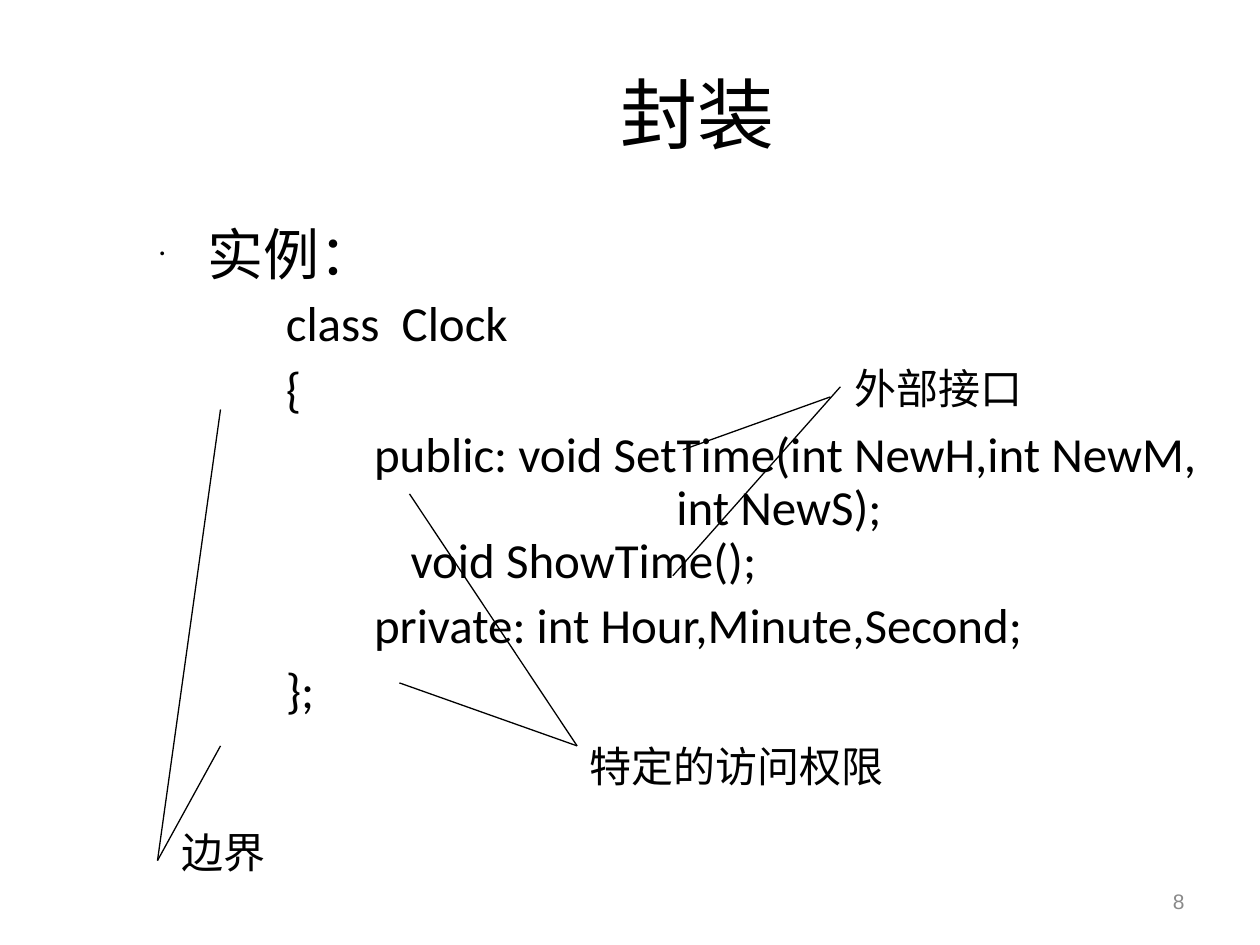
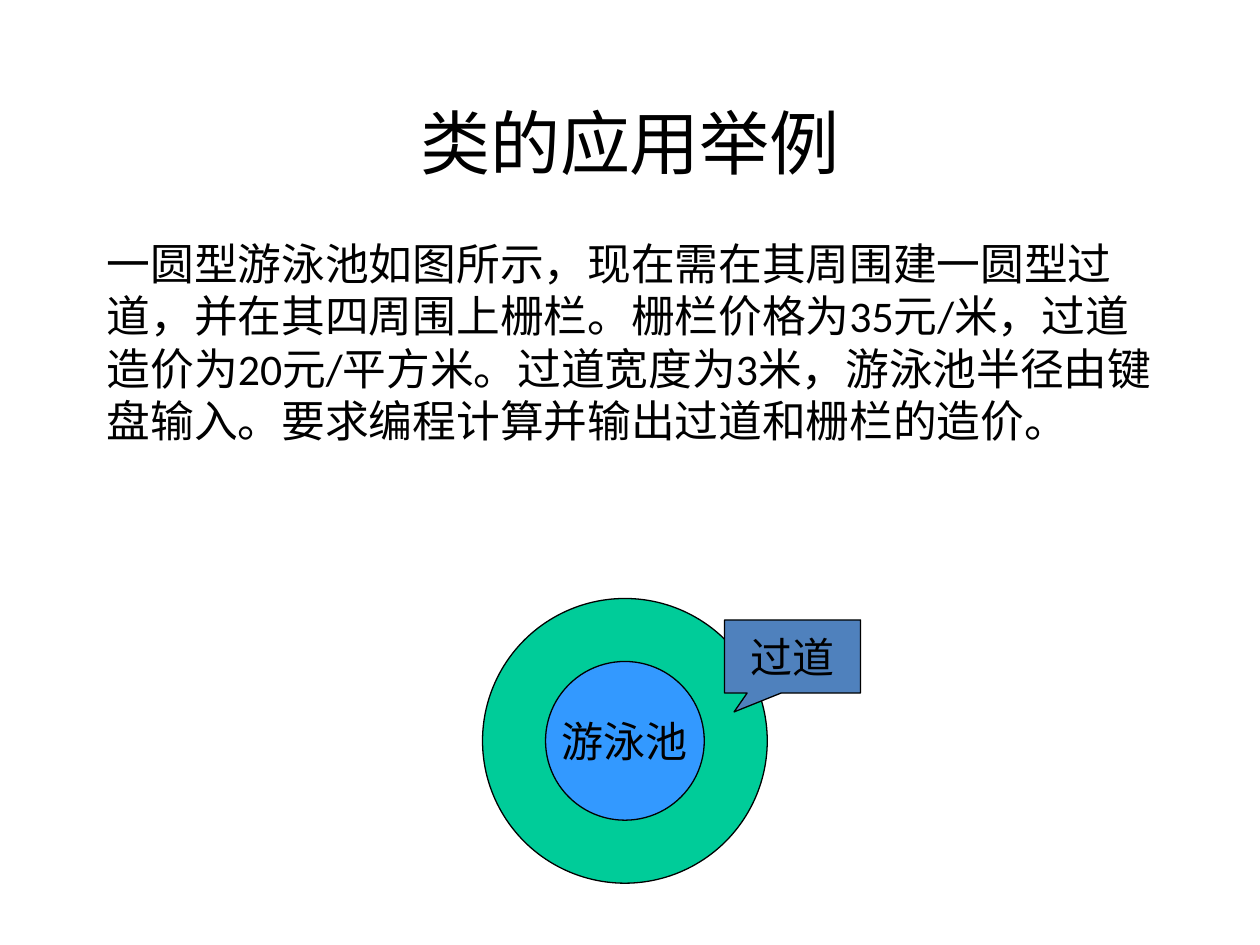
from lxml import etree
from pptx import Presentation
from pptx.dml.color import RGBColor
from pptx.enum import shapes, text
from pptx.oxml import ns
from pptx.util import Inches, Pt

BLACK, GRAY = "000000", "898989"
AISLE_GREEN, POOL_BLUE, CALLOUT_BLUE = "00CC99", "3399FF", "4F81BD"
BODY_FONT, LABEL_FONT, NUMBER_FONT = "Calibri", "Times New Roman", "Arial"
LABEL_SIZE = 24
LEFT, CENTER, RIGHT = text.PP_ALIGN.LEFT, text.PP_ALIGN.CENTER, text.PP_ALIGN.RIGHT
MIDDLE, TOP = text.MSO_ANCHOR.MIDDLE, text.MSO_ANCHOR.TOP


def color(hex_value):
    return RGBColor.from_string(hex_value)


class Deck:
    """Holds the shared style and the slide being built."""

    def __init__(self):
        self.prs = Presentation()
        self.prs.slide_width, self.prs.slide_height = Inches(10), Inches(7.5)
        self.slide = None

    def new_slide(self, title, box, size, spacing=1.0):
        self.slide = self.prs.slides.add_slide(self.prs.slide_layouts[5])
        heading = self.slide.shapes.title
        heading.left, heading.top, heading.width, heading.height = map(Inches, box)
        self.frame(heading.text_frame, MIDDLE)
        self.add_words(heading.text_frame.paragraphs[0], title, size, align=CENTER,
                       spacing=spacing)

    def frame(self, frame, anchor=TOP, wrap=True, insets=(0.1, 0.05)):
        frame.auto_size = text.MSO_AUTO_SIZE.NONE
        frame.word_wrap = wrap
        frame.vertical_anchor = anchor
        frame.margin_left = frame.margin_right = Inches(insets[0])
        frame.margin_top = frame.margin_bottom = Inches(insets[1])

    def add_words(self, paragraph, words, size, font=BODY_FONT, ink=BLACK,
                  align=LEFT, spacing=1.0, before=0):
        paragraph.alignment = align
        paragraph.line_spacing = spacing
        paragraph.space_before = Pt(before)
        run = paragraph.add_run()
        run.text = words
        run.font.size, run.font.name = Pt(size), font
        run.font.color.rgb = color(ink)

    def text_box(self, box, anchor=TOP, insets=(0.1, 0.05)):
        frame = self.slide.shapes.add_textbox(*map(Inches, box)).text_frame
        self.frame(frame, anchor, insets=insets)
        return frame

    def label(self, words, box, insets=(0.11, 0.06)):
        frame = self.text_box(box, insets=insets)
        self.add_words(frame.paragraphs[0], words, LABEL_SIZE, LABEL_FONT, before=15)

    def indent(self, paragraph, margin, first=0):
        props = paragraph._p.get_or_add_pPr()
        props.set("marL", str(Inches(margin)))
        props.set("indent", str(Inches(first)))

    def bullet(self, paragraph, percent):
        props = paragraph._p.get_or_add_pPr()
        etree.SubElement(props, ns.qn("a:buSzPct")).set("val", str(percent * 1000))
        etree.SubElement(props, ns.qn("a:buFont")).set("typeface", NUMBER_FONT)
        etree.SubElement(props, ns.qn("a:buChar")).set("char", "•")

    def line(self, start, end):
        pointer = self.slide.shapes.add_connector(
            shapes.MSO_CONNECTOR.STRAIGHT, *map(Inches, start + end))
        pointer.line.color.rgb = color(BLACK)
        pointer.line.width = Pt(0.75)
        etree.SubElement(pointer._element.spPr, ns.qn("a:effectLst"))

    def shape(self, kind, box, fill, words=""):
        figure = self.slide.shapes.add_shape(kind, *map(Inches, box))
        figure.shadow.inherit = False
        figure.fill.solid()
        figure.fill.fore_color.rgb = color(fill)
        figure.line.color.rgb = color(BLACK)
        figure.line.width = Pt(0.75)
        if words:
            self.frame(figure.text_frame, MIDDLE, wrap=False, insets=(0.11, 0.06))
            self.add_words(figure.text_frame.paragraphs[0], words, LABEL_SIZE, LABEL_FONT,
                           align=CENTER)
        return figure

    def circle(self, center, radius, fill, words=""):
        x, y = center
        self.shape(shapes.MSO_SHAPE.OVAL, (x - radius, y - radius, 2 * radius, 2 * radius),
                   fill, words)

    def page_number(self, number):
        frame = self.text_box((7.17, 6.95, 2.33, 0.4), MIDDLE)
        self.add_words(frame.paragraphs[0], number, 12, NUMBER_FONT, GRAY, RIGHT)


def encapsulation_slide(deck):
    deck.new_slide("封装", (1.75, 0.5, 7.58, 0.92), 44, spacing=0.8)

    # Class listing: words, left margin, space before
    listing = deck.text_box((1.17, 1.75, 8.92, 4.25))
    example = listing.paragraphs[0]
    deck.add_words(example, "实例：", 32, spacing=0.9, before=8)
    deck.indent(example, 0.38, -0.38)
    deck.bullet(example, 25)
    code = [
        ("class  Clock", 1, 7),
        ("{", 1, 7),
        ("public: void SetTime(int NewH,int NewM,", 1.7, 7),
        ("int NewS);", 4.1, 0),
        ("void ShowTime();", 1.99, 0),
        ("private: int Hour,Minute,Second;", 1.7, 7),
        ("};", 1, 7),
    ]
    for words, margin, before in code:
        statement = listing.add_paragraph()
        deck.add_words(statement, words, 28, spacing=0.9, before=before)
        deck.indent(statement, margin)

    # Labels and the lines that tie them to the code
    deck.label("边界", (1.33, 6.5, 1, 0.51))
    deck.label("特定的访问权限", (4.58, 5.83, 2.58, 0.5), insets=(0.1, 0.05))
    deck.label("外部接口", (6.67, 2.82, 1.75, 0.51))
    boundary, access = (1.25, 6.83), (4.58, 5.92)
    pointers = [
        ((1.75, 3.25), boundary), ((1.75, 5.92), boundary),
        ((5.34, 4.57), (6.67, 3.07)), ((5.42, 3.57), (6.59, 3.15)),
        ((3.25, 3.92), access), ((3.17, 5.42), access),
    ]
    for start, end in pointers:
        deck.line(start, end)

    deck.page_number("8")


def pool_slide(deck):
    deck.new_slide("类的应用举例", (0.75, 0.75, 8.5, 0.75), 40)

    # Task description
    task = deck.text_box((0.75, 1.83, 8.5, 2.67))
    deck.add_words(task.paragraphs[0],
                   "一圆型游泳池如图所示，现在需在其周围建一圆型过道，并在其四周围上栅栏。"
                   "栅栏价格为35元/米，过道造价为20元/平方米。过道宽度为3米，"
                   "游泳池半径由键盘输入。要求编程计算并输出过道和栅栏的造价。",
                   25, before=6.2)

    # Pool inside its aisle
    center, pool_radius, aisle_radius = (4.96, 5.88), 0.63, 1.13
    deck.circle(center, aisle_radius, AISLE_GREEN)
    deck.circle(center, pool_radius, POOL_BLUE, "游泳池")
    aisle = deck.shape(shapes.MSO_SHAPE.RECTANGULAR_CALLOUT, (5.75, 4.92, 1.08, 0.58),
                       CALLOUT_BLUE, "过道")
    aisle.adjustments[0], aisle.adjustments[1] = -0.43, 0.76


def main():
    deck = Deck()
    encapsulation_slide(deck)
    pool_slide(deck)
    deck.prs.save("out.pptx")


if __name__ == "__main__":
    main()
